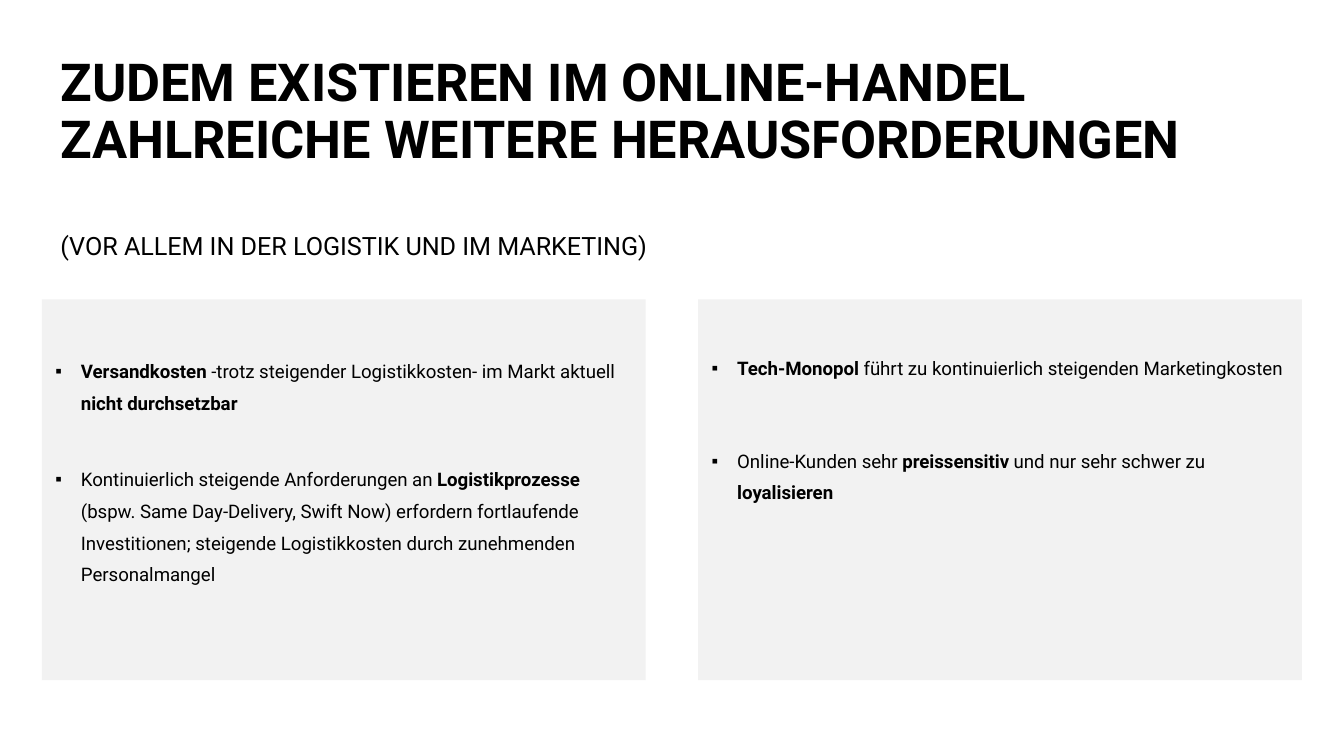
from lxml.etree import SubElement
from pptx import Presentation
from pptx.dml.color import RGBColor
from pptx.enum.text import MSO_ANCHOR, MSO_AUTO_SIZE, PP_ALIGN
from pptx.oxml.ns import qn
from pptx.util import Inches, Pt

WIDTH = Inches(10)
HEIGHT = WIDTH * 9 // 16
COLUMN, ROW = WIDTH / 100, HEIGHT / 100
MARGIN, PANEL_WIDTH = 3.12, 44.93
PANEL_TOP, PANEL_HEIGHT = 39.6, 50.36
BLACK, PANEL_GREY = "000000", "F2F2F2"

SHIPPING = [
    [("Versandkosten ", True),
     ("-trotz steigender Logistikkosten- im Markt aktuell ", False),
     ("nicht durchsetzbar", True)],
    [("Kontinuierlich steigende Anforderungen an ", False),
     ("Logistikprozesse ", True),
     ("(bspw. Same Day-Delivery, Swift Now) erfordern fortlaufende "
      "Investitionen; steigende Logistikkosten durch zunehmenden "
      "Personalmangel", False)],
]
MARKETING = [
    [("Tech-Monopol ", True),
     ("führt zu kontinuierlich steigenden Marketingkosten", False)],
    [("Online-Kunden sehr ", False), ("preissensitiv", True),
     (" und nur sehr schwer zu ", False), ("loyalisieren", True)],
]


def colour(value):
    return RGBColor.from_string(value)


def place(shape, box):
    left, top, width, height = box
    shape.left, shape.width = round(left * COLUMN), round(width * COLUMN)
    shape.top, shape.height = round(top * ROW), round(height * ROW)


def prepare_frame(shape, top_inset=0.05, wrap=True):
    frame = shape.text_frame
    frame.word_wrap = wrap
    frame.auto_size = MSO_AUTO_SIZE.NONE
    frame.vertical_anchor = MSO_ANCHOR.TOP
    frame.margin_left = frame.margin_right = Inches(0.1)
    frame.margin_top, frame.margin_bottom = Inches(top_inset), Inches(0.05)
    return frame


def add_span(para, text, size, bold=False):
    span = para.add_run()
    span.text = text
    span.font.name, span.font.size, span.font.bold = "Roboto", Pt(size), bold
    span.font.color.rgb = colour(BLACK)


def add_title(page, box, text):
    title = page.shapes.title
    place(title, box)
    para = prepare_frame(title).paragraphs[0]
    para.alignment, para.line_spacing = PP_ALIGN.LEFT, 0.9
    add_span(para, text, 28, True)


def add_subtitle(page, box, text):
    subtitle = page.shapes.add_textbox(0, 0, 0, 0)
    place(subtitle, box)
    para = prepare_frame(subtitle, wrap=False).paragraphs[0]
    add_span(para, text, 13.5)


def add_bullet(para):
    properties = para._p.get_or_add_pPr()
    properties.set("marL", str(Inches(0.19)))
    properties.set("indent", str(-Inches(0.19)))
    SubElement(properties, qn("a:buChar")).set("char", "▪")


def fill_panel(panel, box, items, top_inset, gap):
    place(panel, box)
    panel.fill.solid()
    panel.fill.fore_color.rgb = colour(PANEL_GREY)
    frame = prepare_frame(panel, top_inset)
    for index, spans in enumerate(items):
        para = frame.add_paragraph() if index else frame.paragraphs[0]
        add_bullet(para)
        para.line_spacing = Pt(17)
        para.space_before = Pt(gap if index else 0)
        for text, bold in spans:
            add_span(para, text, 10, bold)


def main():
    deck = Presentation()
    deck.slide_width, deck.slide_height = WIDTH, HEIGHT
    page = deck.slides.add_slide(deck.slide_layouts[3])
    add_title(page, (3.5, 6.6, 92.9, 9.07),
              "ZUDEM EXISTIEREN IM ONLINE-HANDEL ZAHLREICHE WEITERE "
              "HERAUSFORDERUNGEN")
    add_subtitle(page, (3.52, 29.56, 46.7, 5.87),
                 "(VOR ALLEM IN DER LOGISTIK UND IM MARKETING)")
    right = 100 - MARGIN - PANEL_WIDTH
    fill_panel(page.placeholders[1],
               (MARGIN, PANEL_TOP, PANEL_WIDTH, PANEL_HEIGHT),
               SHIPPING, 0.38, 24)
    fill_panel(page.placeholders[2],
               (right, PANEL_TOP, PANEL_WIDTH, PANEL_HEIGHT),
               MARKETING, 0.36, 32.5)
    deck.save("out.pptx")


if __name__ == "__main__":
    main()
